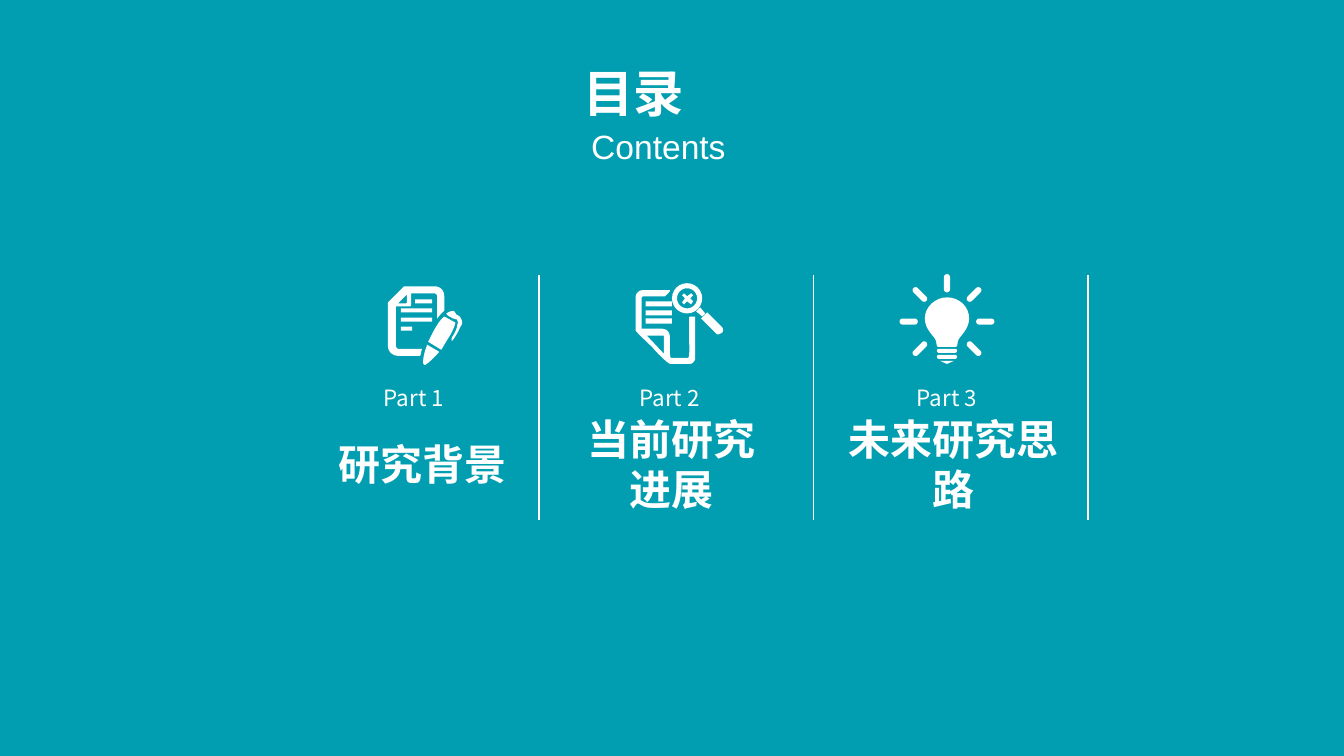
"""Build the contents slide with three icon-topped parts."""
import math

import pptx
import pptx.dml.color
import pptx.enum.text
import pptx.oxml
import pptx.oxml.ns
import pptx.util
from pptx.util import Inches

TEAL = "009EB0"
WHITE = "FFFFFF"
SANS = "Noto Sans CJK SC"
ALIGN = pptx.enum.text.PP_ALIGN


def paint(fill, color):
    """Make a fill solid in a hex colour."""
    fill.solid()
    fill.fore_color.rgb = pptx.dml.color.RGBColor.from_string(color)


def place(shape, left, top, width, height):
    """Move and size a shape in inches."""
    shape.left, shape.top = Inches(left), Inches(top)
    shape.width, shape.height = Inches(width), Inches(height)


def write(box, text, size, font, align, bold=False):
    """Put one formatted white paragraph in a box."""
    box.text_frame.text = text
    para = box.text_frame.paragraphs[0]
    para.alignment = align
    para.font.size = pptx.util.Pt(size)
    para.font.name = font
    para.font.bold = bold
    paint(para.font.fill, WHITE)


def add_text(slide, area, text, size, font, align, bold=False):
    """Add a wrapping text box."""
    box = slide.shapes.add_textbox(*map(Inches, area))
    box.text_frame.word_wrap = True
    write(box, text, size, font, align, bold)
    return box


def add_part_label(slide, left, text):
    """Add a small label without margins or wrapping."""
    box = add_text(slide, (left, 3.81, 0.63, 0.27), text, 16, SANS, ALIGN.LEFT)
    frame = box.text_frame
    frame.word_wrap = False
    frame.margin_left = frame.margin_right = frame.margin_top = frame.margin_bottom = 0


def add_divider(slide, x):
    """Add a vertical white line."""
    line = slide.shapes.add_connector(1, Inches(x), Inches(2.73), Inches(x), Inches(5.16))
    line.line.width = pptx.util.Pt(1)
    paint(line.line.fill, WHITE)
    properties = line._element.spPr
    properties.append(pptx.oxml.parse_xml(f"<a:effectLst {pptx.oxml.ns.nsdecls('a')}/>"))


def arc(x, y, radius, start=0, sweep=360):
    """Return points along an arc, with angles in degrees."""
    angles = [math.radians(start + sweep * step / 24) for step in range(25)]
    return [(x + radius * math.cos(a), y + radius * math.sin(a)) for a in angles]


def capsule(x1, y1, x2, y2, radius):
    """Return the contour of a round-ended bar."""
    angle = math.degrees(math.atan2(y2 - y1, x2 - x1))
    return arc(x2, y2, radius, angle - 90, 180) + arc(x1, y1, radius, angle + 90, 180)


def bar(x, y, width, height):
    """Return the contour of a rectangle."""
    return [(x, y), (x + width, y), (x + width, y + height), (x, y + height)]


def contour(start, *segments):
    """Return points of straight (2 numbers) and cubic (6 numbers) segments."""
    points = [start]
    for segment in segments:
        if len(segment) == 2:
            points.append(segment)
            continue
        controls = [points[-1], segment[:2], segment[2:4], segment[4:]]
        for step in range(1, 9):
            t = step / 8
            weights = ((1 - t) ** 3, 3 * t * (1 - t) ** 2, 3 * t * t * (1 - t), t ** 3)
            points.append(tuple(sum(w * c[axis] for w, c in zip(weights, controls))
                                for axis in (0, 1)))
    return points


def add_icon(slide, contours):
    """Add one white freeform made of closed contours."""
    builder = None
    for points in contours:
        start, *rest = [(Inches(x), Inches(y)) for x, y in points]
        if builder is None:
            builder = slide.shapes.build_freeform(*start)
        else:
            builder.move_to(*start)
        builder.add_line_segments(rest, close=True)
    icon = builder.convert_to_shape()
    icon.shadow.inherit = False
    paint(icon.fill, WHITE)
    icon.line.fill.background()


def note_icon():
    """Return the contours of a page with a pen."""
    page = contour(
        (4.01, 2.84), (4.31, 2.84), (4.37, 2.84, 4.41, 2.88, 4.41, 2.94), (4.41, 3.08),
        (4.38, 3.11, 4.36, 3.13, 4.34, 3.16), (4.34, 2.94),
        (4.34, 2.93, 4.33, 2.91, 4.31, 2.91), (4.08, 2.91), (4.08, 3.02),
        (4.08, 3.04, 4.07, 3.04, 4.06, 3.04), (3.93, 3.04), (3.93, 3.43),
        (3.93, 3.44, 3.94, 3.46, 3.95, 3.46), (4.19, 3.46),
        (4.18, 3.48, 4.18, 3.51, 4.17, 3.53), (3.95, 3.53),
        (3.9, 3.53, 3.85, 3.49, 3.85, 3.43), (3.85, 3))
    fold = [(3.95, 3.01), (4.03, 3.01), (4.04, 3), (4.04, 2.92)]
    clip = contour(
        (4.51, 3.09), (4.52, 3.1, 4.52, 3.11, 4.53, 3.12),
        (4.55, 3.13, 4.57, 3.14, 4.58, 3.17), (4.59, 3.19, 4.59, 3.22, 4.57, 3.24),
        (4.55, 3.29, 4.52, 3.34, 4.49, 3.38), (4.48, 3.39, 4.48, 3.35, 4.49, 3.34),
        (4.51, 3.31, 4.53, 3.28, 4.54, 3.22), (4.55, 3.19, 4.54, 3.18, 4.53, 3.16),
        (4.53, 3.17), (4.51, 3.16, 4.49, 3.16, 4.48, 3.15),
        (4.46, 3.14, 4.44, 3.13, 4.43, 3.11), (4.46, 3.09, 4.49, 3.08, 4.51, 3.09))
    barrel = contour(
        (4.52, 3.2), (4.51, 3.25, 4.48, 3.31, 4.44, 3.37), (4.38, 3.47), (4.25, 3.39),
        (4.3, 3.29), (4.34, 3.22, 4.37, 3.17, 4.41, 3.14))
    nib = contour(
        (4.36, 3.49), (4.29, 3.57, 4.22, 3.63, 4.21, 3.62),
        (4.19, 3.61, 4.2, 3.52, 4.24, 3.42))
    rows = [bar(4.12, 2.97, 0.17, 0.04), bar(3.98, 3.06, 0.31, 0.04),
            bar(3.98, 3.15, 0.31, 0.04), bar(3.98, 3.24, 0.11, 0.04)]
    return [page, fold, clip, barrel, nib, *rows]


def search_icon():
    """Return the contours of a page with a magnifier."""
    page = contour(
        (6.31, 2.94), (6.31, 3.28), (6.31, 3.29, 6.46, 3.43, 6.48, 3.45),
        (6.49, 3.47, 6.63, 3.61, 6.65, 3.61), (6.85, 3.61),
        (6.88, 3.61, 6.89, 3.58, 6.9, 3.57), (6.9, 3.14),
        (6.89, 3.15, 6.85, 3.13, 6.84, 3.15), (6.84, 3.36),
        (6.84, 3.39, 6.85, 3.55, 6.83, 3.55), (6.66, 3.55),
        (6.65, 3.55, 6.65, 3.5, 6.65, 3.48), (6.65, 3.39),
        (6.65, 3.32, 6.65, 3.3, 6.61, 3.27), (6.57, 3.26), (6.37, 3.26), (6.37, 2.96),
        (6.37, 2.95, 6.37, 2.95, 6.38, 2.94), (6.6, 2.94),
        (6.61, 2.93, 6.65, 2.9, 6.65, 2.88), (6.37, 2.88),
        (6.35, 2.88, 6.31, 2.91, 6.31, 2.94))
    fold = [(6.59, 3.51), (6.59, 3.33), (6.42, 3.33)]
    cross = [(6.8, 2.96), (6.77, 2.93), (6.79, 2.91), (6.82, 2.94), (6.86, 2.91),
             (6.88, 2.93), (6.85, 2.96), (6.88, 2.99), (6.86, 3.02), (6.82, 2.99),
             (6.79, 3.02), (6.77, 3)]
    lens = [arc(6.82, 2.96, radius) for radius in (0.15, 0.1)]
    neck = [(6.95, 3.05), (7, 3.11), (6.97, 3.14), (6.91, 3.09)]
    handle = contour(
        (7.02, 3.1), (7.17, 3.25), (7.18, 3.26, 7.18, 3.28, 7.17, 3.3), (7.15, 3.31),
        (7.14, 3.32, 7.12, 3.32, 7.11, 3.31), (6.96, 3.16))
    rows = [bar(6.41, y, 0.26, 0.05) for y in (2.99, 3.08, 3.16)]
    return [page, fold, cross, *lens, neck, handle, *rows]


def bulb_icon():
    """Return the contours of a shining light bulb."""
    x, y = 9.4, 3.19
    glass = contour(
        (9.4, 2.95), (9.29, 2.95, 9.18, 3.04, 9.18, 3.16),
        (9.18, 3.27, 9.28, 3.34, 9.29, 3.38), (9.3, 3.41, 9.29, 3.43, 9.31, 3.44),
        (9.49, 3.44), (9.51, 3.43, 9.5, 3.41, 9.51, 3.38),
        (9.52, 3.34, 9.62, 3.27, 9.62, 3.16), (9.62, 3.04, 9.52, 2.95, 9.4, 2.95))
    threads = [capsule(9.32, level, 9.48, level, 0.02) for level in (3.48, 3.54)]
    tip = [(9.33, 3.58), (9.47, 3.58), (9.4, 3.61)]
    rays = []
    for angle in range(135, 406, 45):
        across, down = math.cos(math.radians(angle)), math.sin(math.radians(angle))
        rays.append(capsule(x + 0.32 * across, y + 0.32 * down,
                            x + 0.44 * across, y + 0.44 * down, 0.03))
    return [glass, *threads, tip, *rays]


def main():
    """Build and save the deck."""
    deck = pptx.Presentation()
    deck.slide_width, deck.slide_height = Inches(13.34), Inches(7.5)
    slide = deck.slides.add_slide(deck.slide_layouts[5])
    paint(slide.background.fill, TEAL)

    title = slide.shapes.title
    place(title, 5.69, 0.59, 1.68, 0.66)
    write(title, "目录", 36, "Arial", ALIGN.JUSTIFY, bold=True)
    title.text_frame.auto_size = pptx.enum.text.MSO_AUTO_SIZE.NONE
    title.text_frame.vertical_anchor = pptx.enum.text.MSO_ANCHOR.MIDDLE
    add_text(slide, (5.61, 1.2, 1.85, 0.51), "Contents", 24, "Arial", ALIGN.CENTER)

    parts = [
        (note_icon(), 3.81, "研究背景", (3.13, 4.3, 2.13, 0.61)),
        (search_icon(), 6.35, "当前研究进展", (5.6, 4.05, 2.13, 1.11)),
        (bulb_icon(), 9.1, "未来研究思路", (8.32, 4.05, 2.29, 1.11)),
    ]
    for index, (icon, label_left, heading, area) in enumerate(parts):
        add_divider(slide, 5.35 + 2.725 * index)
        add_icon(slide, icon)
        add_part_label(slide, label_left, f"Part {index + 1}")
        add_text(slide, area, heading, 30, SANS, ALIGN.CENTER, bold=True)

    deck.save("out.pptx")


if __name__ == "__main__":
    main()
